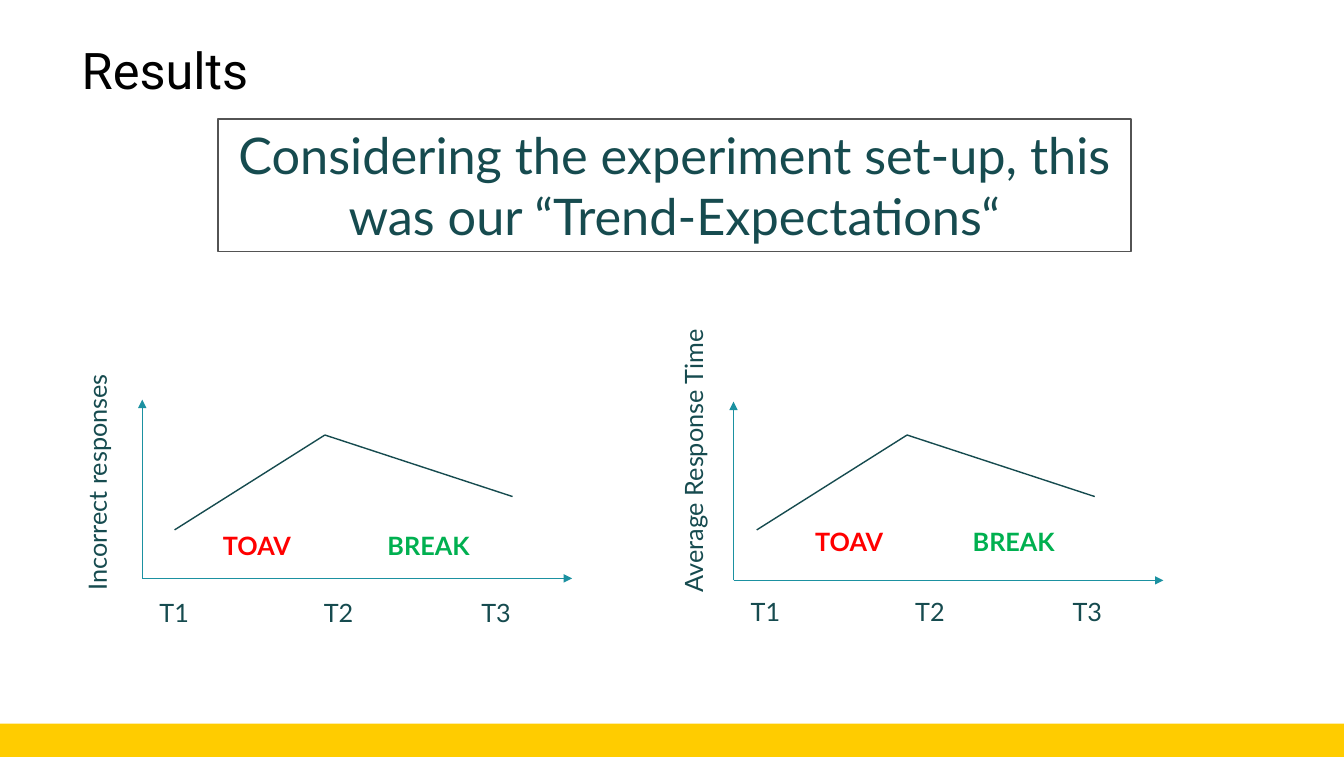
from itertools import pairwise

from lxml.etree import SubElement
from pptx import Presentation
from pptx.dml.color import RGBColor
from pptx.enum.shapes import MSO_CONNECTOR, MSO_SHAPE
from pptx.enum.text import MSO_ANCHOR, PP_ALIGN
from pptx.oxml.ns import qn
from pptx.util import Inches, Pt

BLACK = RGBColor(0x00, 0x00, 0x00)
DARK_TEAL = RGBColor(0x16, 0x4B, 0x4F)
AXIS_TEAL = RGBColor(0x1B, 0x91, 0xA1)
FRAME_GREY = RGBColor(0x53, 0x53, 0x53)
RED = RGBColor(0xFF, 0x00, 0x00)
GREEN = RGBColor(0x00, 0xB0, 0x50)
YELLOW = RGBColor(0xFF, 0xCC, 0x00)


def write(shape, text, size=18, font="Lato", color=DARK_TEAL, bold=False,
          align=PP_ALIGN.LEFT, anchor=MSO_ANCHOR.TOP, line_spacing=1.0):
    frame = shape.text_frame
    frame.word_wrap = True
    frame.vertical_anchor = anchor
    frame.margin_left = frame.margin_right = Inches(0.05)
    frame.margin_top = frame.margin_bottom = Inches(0.05)
    para = frame.paragraphs[0]
    para.alignment = align
    para.line_spacing = line_spacing
    span = para.add_run()
    span.text = text
    span.font.size = Pt(size)
    span.font.name = font
    span.font.bold = bold
    span.font.color.rgb = color


def add_label(page, text, left, top, width, rotation=0, **style):
    box = page.shapes.add_textbox(Inches(left), Inches(top), Inches(width), Inches(0.4))
    box.rotation = rotation
    write(box, text, **style)


def add_line(page, start, end, color, arrow=False):
    line = page.shapes.add_connector(
        MSO_CONNECTOR.STRAIGHT, *(Inches(value) for value in (*start, *end)))
    line.line.color.rgb = color
    line.line.width = Pt(1)
    if arrow:
        SubElement(line.line._get_or_add_ln(), qn("a:tailEnd"), type="triangle")
    SubElement(line._element.spPr, qn("a:effectLst"))


def add_rectangle(page, left, top, width, height):
    shape = page.shapes.add_shape(
        MSO_SHAPE.RECTANGLE, Inches(left), Inches(top), Inches(width), Inches(height))
    shape.shadow.inherit = False
    return shape


def add_title(page, left, top, width, height):
    title = page.shapes.title
    title.left, title.top = Inches(left), Inches(top)
    title.width, title.height = Inches(width), Inches(height)
    write(title, "Results", size=36, font="Roboto", color=BLACK,
          anchor=MSO_ANCHOR.BOTTOM, line_spacing=0.9)


def add_footer_band(page, left, top, width, height):
    band = add_rectangle(page, left, top, width, height)
    band.fill.solid()
    band.fill.fore_color.rgb = YELLOW
    band.line.fill.background()


def add_statement(page, left, top, width, height):
    statement = add_rectangle(page, left, top, width, height)
    statement.fill.background()
    statement.line.color.rgb = FRAME_GREY
    statement.line.width = Pt(1)
    write(statement, "Considering the experiment set-up, this was our “Trend-Expectations“",
          size=36, align=PP_ALIGN.CENTER)


def add_trend_sketch(page, left, top, width, height, measure, measure_left,
                     trend_left, trend_top, phase_lefts, phase_top, tick_top):
    """Place one sketch; the last five values are offsets from the box corner."""
    bottom = top + height

    # Expected trend
    points = [(left + trend_left + x, top + trend_top + y)
              for x, y in ((0, 0.94), (1.49, 0), (3.35, 0.61))]
    for start, end in pairwise(points):
        add_line(page, start, end, DARK_TEAL)

    # Axis titles and time points
    add_label(page, measure, left + measure_left, top + 0.13, 3.22, rotation=270)
    for text, offset in (("T1", 0.12), ("T2", 1.75), ("T3", 3.31)):
        add_label(page, text, left + offset, top + tick_top, 0.72)

    # Phases between the time points
    for text, color, offset in zip(("TOAV", "BREAK"), (RED, GREEN), phase_lefts):
        add_label(page, text, left + offset, top + phase_top, 0.94, color=color, bold=True)

    # Axes
    for end in ((left, top), (left + width, bottom)):
        add_line(page, (left, bottom), end, AXIS_TEAL, arrow=True)


def main():
    deck = Presentation()
    deck.slide_width, deck.slide_height = Inches(13.32), Inches(7.5)
    page = deck.slides.add_slide(deck.slide_layouts[5])

    add_title(page, 0.76, 0, 10.5, 1.05)
    add_footer_band(page, 0, 7.17, 13.32, 0.33)
    add_statement(page, 2.16, 1.18, 9.05, 1.31)
    add_trend_sketch(page, 1.41, 3.96, 4.26, 1.77, "Incorrect responses",
                     measure_left=-2.06, trend_left=0.32, trend_top=0.35,
                     phase_lefts=(0.75, 2.38), phase_top=1.24, tick_top=1.91)
    add_trend_sketch(page, 7.27, 3.98, 4.26, 1.77, "Average Response Time",
                     measure_left=-2.01, trend_left=0.23, trend_top=0.33,
                     phase_lefts=(0.76, 2.32), phase_top=1.19, tick_top=1.88)

    deck.save("out.pptx")


if __name__ == "__main__":
    main()
